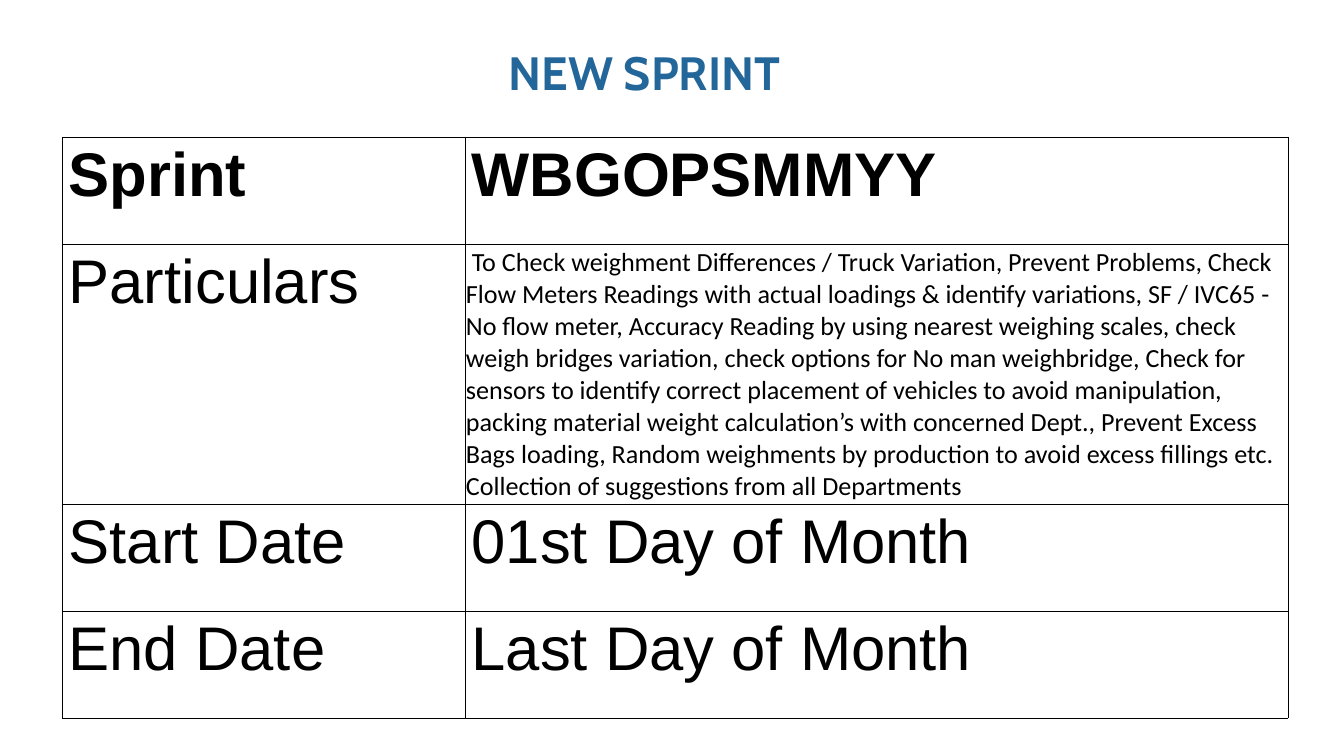
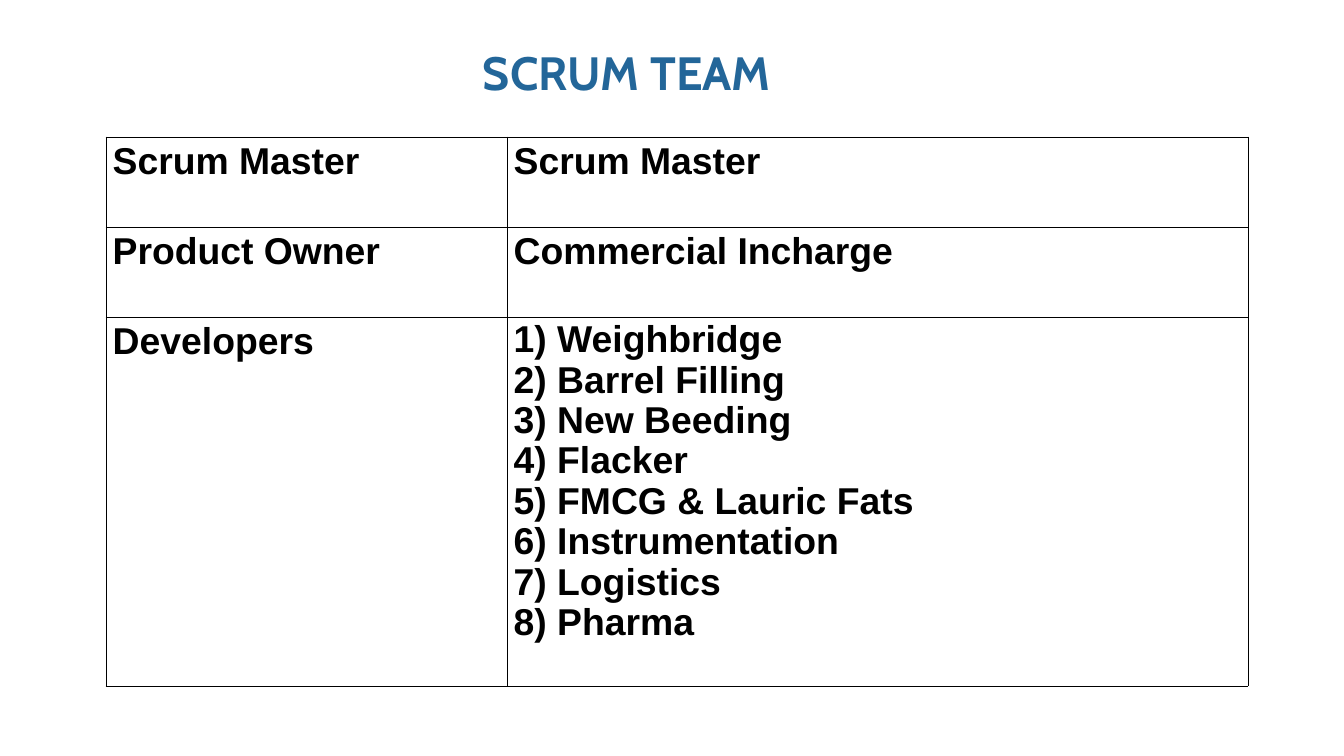
import pptx
import pptx.dml.color
import pptx.enum.text
import pptx.oxml
import pptx.oxml.ns
import pptx.util

EMU_PER_PX = 914400 / 67.2
TITLE_BLUE, BLACK, WHITE = "236699", "000000", "FFFFFF"
TITLE_TOP, TITLE_HEIGHT, TABLE_TOP = 44, 58, 137

PARTICULARS = (
    " To Check weighment Differences / Truck Variation, Prevent Problems, "
    "Check Flow Meters Readings with actual loadings & identify variations, "
    "SF / IVC65 - No flow meter, Accuracy Reading by using nearest weighing "
    "scales, check weigh bridges variation, check options for No man "
    "weighbridge, Check for sensors to identify correct placement of vehicles "
    "to avoid manipulation, packing material weight calculation’s with "
    "concerned Dept., Prevent Excess Bags loading, Random weighments by "
    "production to avoid excess fillings etc. Collection of suggestions from "
    "all Departments"
)
SPRINT_ROWS = [
    ("Sprint", "WBGOPSMMYY"),
    ("Particulars", PARTICULARS),
    ("Start Date", "01st Day of Month"),
    ("End Date", "Last Day of Month"),
]
DEVELOPERS = ["Weighbridge", "Barrel Filling", "New Beeding", "Flacker",
              "FMCG & Lauric Fats", "Instrumentation", "Logistics", "Pharma"]
TEAM_ROWS = [
    ("Scrum Master", "Scrum Master"),
    ("Product Owner", "Commercial Incharge"),
    ("Developers", "\n".join(f"{number}) {name}" for number, name
                             in enumerate(DEVELOPERS, 1))),
]


def px(length):
    return pptx.util.Emu(round(length * EMU_PER_PX))


def rgb(colour):
    return pptx.dml.color.RGBColor.from_string(colour)


def format_text(text_frame, font_name, size, colour, bold):
    for paragraph in text_frame.paragraphs:
        paragraph.alignment = pptx.enum.text.PP_ALIGN.LEFT
        for run in paragraph.runs:
            run.font.name = font_name
            run.font.size = pptx.util.Pt(size)
            run.font.color.rgb = rgb(colour)
            run.font.bold = bold


def set_borders(cell, colour, width):
    properties = cell._tc.get_or_add_tcPr()
    for position, side in enumerate("LRTB"):
        properties.insert(position, pptx.oxml.parse_xml(
            f'<a:ln{side} {pptx.oxml.ns.nsdecls("a")} w="{pptx.util.Pt(width)}">'
            f'<a:solidFill><a:srgbClr val="{colour}"/></a:solidFill></a:ln{side}>'))


def add_titled_slide(presentation, title, left, width):
    slide = presentation.slides.add_slide(presentation.slide_layouts[5])
    shape = slide.shapes.title
    shape.left, shape.top = px(left), px(TITLE_TOP)
    shape.width, shape.height = px(width), px(TITLE_HEIGHT)
    text_frame = shape.text_frame
    text_frame.text = title
    text_frame.margin_left = text_frame.margin_right = 0
    text_frame.margin_top = text_frame.margin_bottom = 0
    text_frame.vertical_anchor = pptx.enum.text.MSO_ANCHOR.TOP
    text_frame.auto_size = pptx.enum.text.MSO_AUTO_SIZE.SHAPE_TO_FIT_TEXT
    format_text(text_frame, "Cabin", 50, TITLE_BLUE, True)
    return slide


def add_grid(slide, left, column_widths, row_heights, rows, size):
    """Add a bordered white table with bold Arial text and return it."""
    table = slide.shapes.add_table(
        len(rows), len(column_widths), px(left), px(TABLE_TOP),
        px(sum(column_widths)), px(sum(row_heights))).table
    table.first_row = table.horz_banding = False
    for column, width in zip(table.columns, column_widths):
        column.width = px(width)
    for row, height, texts in zip(table.rows, row_heights, rows):
        row.height = px(height)
        for cell, text in zip(row.cells, texts):
            cell.text_frame.text = text
            cell.fill.solid()
            cell.fill.fore_color.rgb = rgb(WHITE)
            set_borders(cell, BLACK, 1)
            format_text(cell.text_frame, "Arial", size, BLACK, True)
    return table


def add_sprint_slide(presentation):
    slide = add_titled_slide(presentation, "NEW SPRINT", 509, 351)
    table = add_grid(slide, 62, [403, 823], [107, 260, 107, 107],
                     SPRINT_ROWS, 66)
    for row in list(table.rows)[1:]:
        for cell in row.cells:
            format_text(cell.text_frame, "Arial", 66, BLACK, False)
    particulars = table.cell(1, 1)
    format_text(particulars.text_frame, "Calibri", 28, BLACK, False)
    particulars.vertical_anchor = pptx.enum.text.MSO_ANCHOR.MIDDLE
    particulars.margin_left = particulars.margin_right = px(1)
    particulars.margin_top, particulars.margin_bottom = px(1), 0


def add_team_slide(presentation):
    slide = add_titled_slide(presentation, "SCRUM TEAM", 483, 378)
    table = add_grid(slide, 106, [401, 741], [90, 90, 369], TEAM_ROWS, 40)
    for paragraph in table.cell(2, 1).text_frame.paragraphs:
        paragraph.line_spacing = 0.97


def main():
    presentation = pptx.Presentation()
    presentation.slide_width, presentation.slide_height = px(1344), px(756)
    add_sprint_slide(presentation)
    add_team_slide(presentation)
    presentation.save("out.pptx")


if __name__ == "__main__":
    main()
